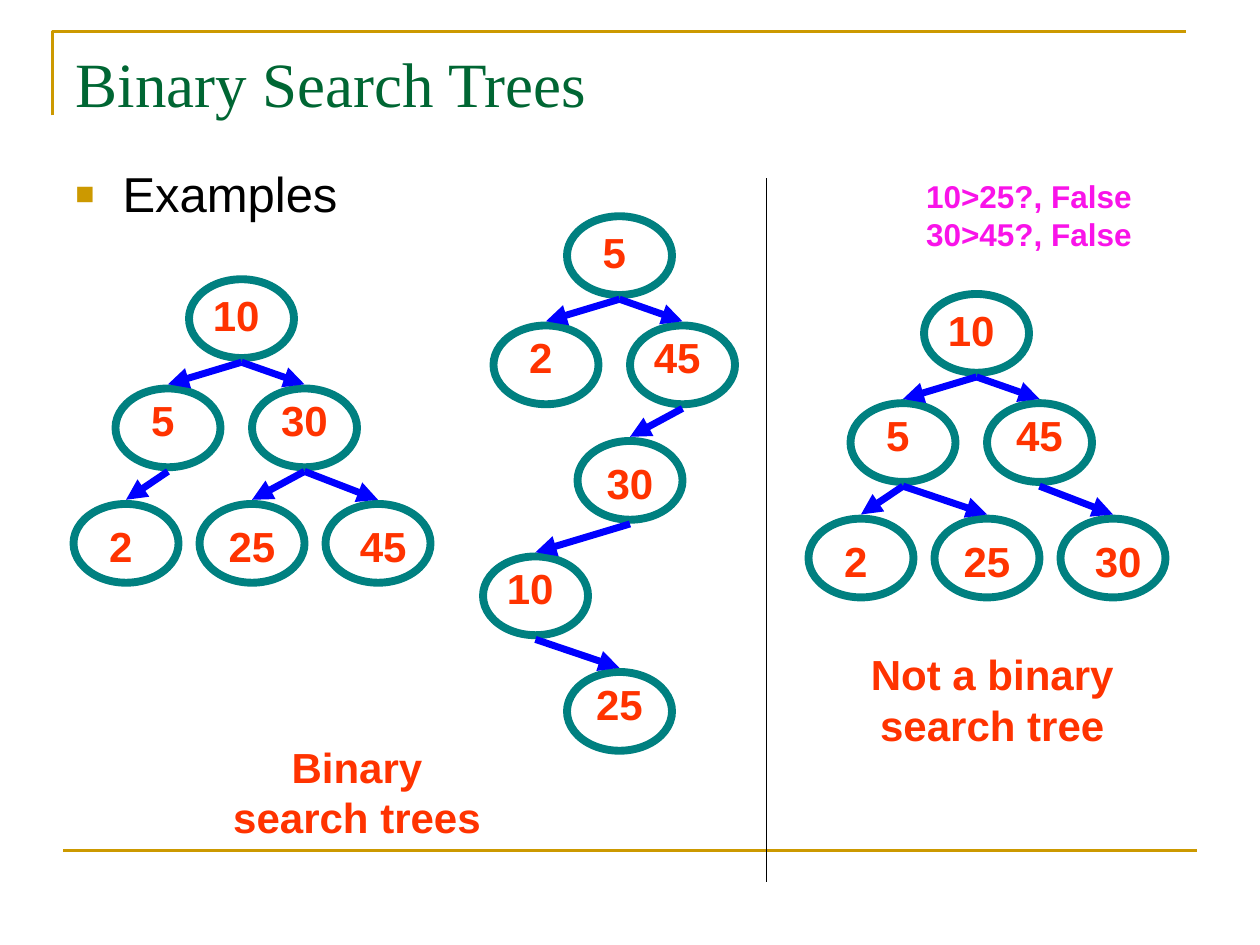
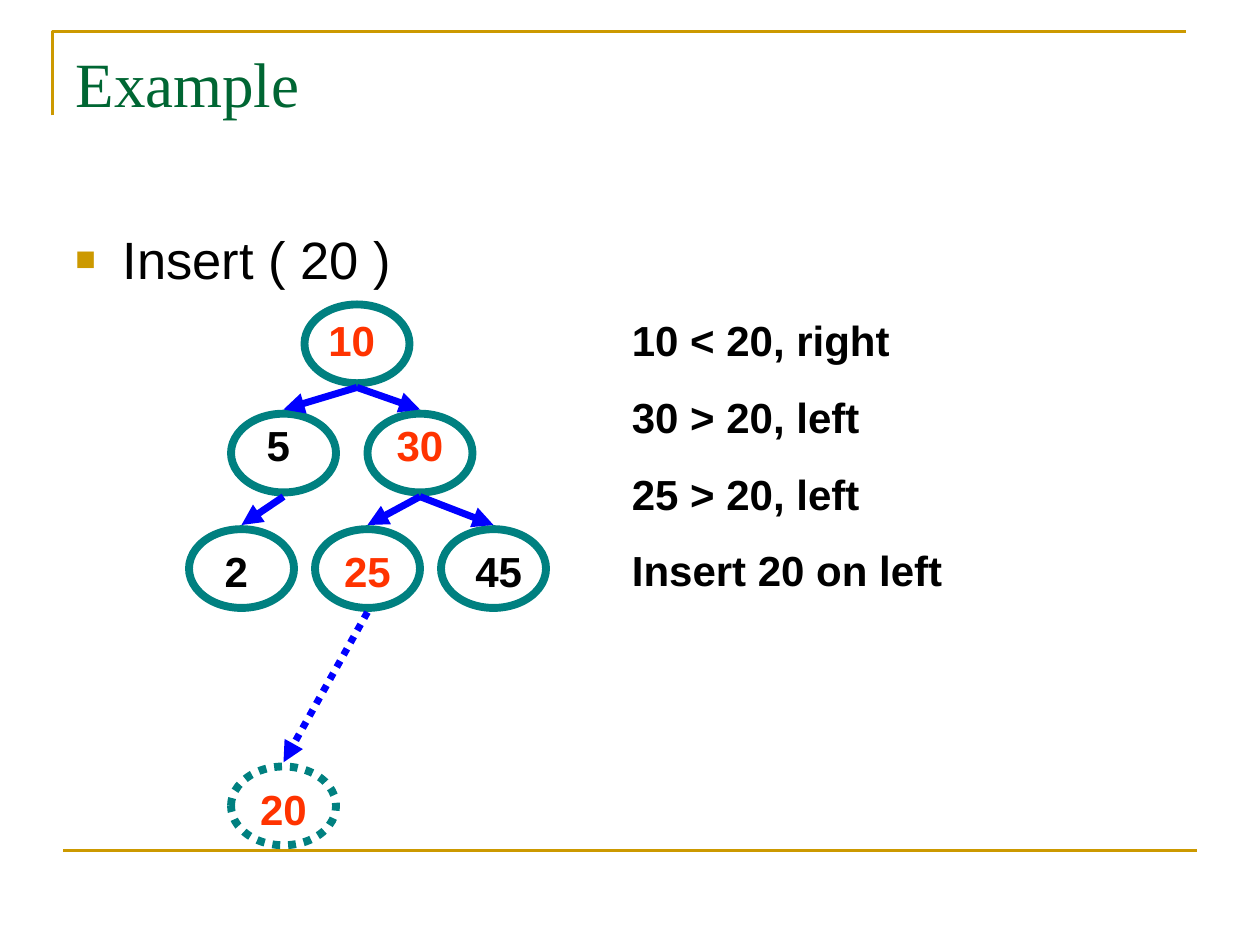
import pptx
import pptx.dml.color
import pptx.enum.dml
import pptx.enum.shapes
import pptx.enum.text
import pptx.oxml.ns
import pptx.util
from lxml import etree

RGB = pptx.dml.color.RGBColor
GOLD = RGB(0xCC, 0x99, 0x00)
GREEN = RGB(0x00, 0x66, 0x33)
TEAL = RGB(0x00, 0x80, 0x80)
BLUE = RGB(0x00, 0x00, 0xFF)
RED = RGB(0xFF, 0x33, 0x00)
MAGENTA = RGB(0xF9, 0x13, 0xE9)
BLACK = RGB(0x00, 0x00, 0x00)

PX = 7620  # EMU in one px, 120 px to the inch
NODE_W, NODE_H = 100, 75
LABEL_H = 60
ARROW_GAP = 4
CENTER = pptx.enum.text.PP_ALIGN.CENTER
LEFT = pptx.enum.text.PP_ALIGN.LEFT

# One node: left, top, label shift right, label shift down, label width.
FULL_SLOTS = [
    (180, 266, 10, 4, 70),
    (110, 370, 20, 0, 50),
    (240, 370, 10, 0, 80),
    (70, 480, 20, 10, 50),
    (190, 480, 10, 10, 80),
    (310, 480, 20, 10, 70),
]
CHAIN_SLOTS = [
    (540, 206, 20, 4, 50),
    (470, 310, 20, 0, 50),
    (600, 310, 10, 0, 70),
    (550, 420, 10, 10, 80),
    (460, 530, 10, 0, 70),
    (540, 640, 10, 0, 80),
]
INSERT_SLOT = (110, 706, 10, 10, 80)

SEARCH_KEYS = [10, 5, 30, 2, 25, 45]
SEARCH_EDGES = [(5, 2), (30, 25), (10, 30), (10, 5), (30, 45)]

EXAMPLES = {
    "title": "Binary Search Trees",
    "title_box": (60, 36, 520, 94),
    "bullet": ("Examples", 150, 28),
    "trees": [
        {"keys": SEARCH_KEYS, "slots": FULL_SLOTS, "edges": SEARCH_EDGES},
        {"keys": [10, 5, 45, 2, 25, 30], "slots": FULL_SLOTS, "shift": (700, 14),
         "edges": [(5, 2), (5, 25), (10, 45), (10, 5), (45, 30)]},
        {"keys": [5, 2, 45, 30, 10, 25], "slots": CHAIN_SLOTS,
         "edges": [(45, 30), (5, 45), (5, 2), (30, 10), (10, 25)]},
    ],
    "texts": [
        (["Binary search trees"], (200, 700, 280, 108), 24, RED, CENTER, 0),
        (["Not a binary search tree"], (790, 612, 310, 108), 24, RED, CENTER, 0),
        (["10>25?, False", "30>45?, False"], (830, 163, 300, 84), 18, MAGENTA, CENTER, 0),
    ],
    "divider": ((730, 170), (730, 840)),
}
INSERTION = {
    "title": "Example",
    "title_box": (60, 36, 300, 103),
    "bullet": ("Insert ( 20 )", 210, 30),
    "trees": [
        {"keys": SEARCH_KEYS + [20], "slots": FULL_SLOTS + [INSERT_SLOT],
         "shift": (110, 24), "edges": SEARCH_EDGES + [(25, 20)],
         "unvisited": {5, 2, 45}, "new_key": 20},
    ],
    "texts": [
        (["10 < 20, right", "30 > 20, left", "25 > 20, left", "Insert 20 on left"],
         (590, 294, 450, 280), 24, BLACK, LEFT, 15),
    ],
}


def emu(lengths):
    return [length * PX for length in lengths]


def format_text(frame, size, color, font="Arial", bold=False, align=LEFT, space=0):
    frame.word_wrap = True
    frame.vertical_anchor = pptx.enum.text.MSO_ANCHOR.TOP
    for paragraph in frame.paragraphs:
        paragraph.alignment = align
        paragraph.space_before = pptx.util.Pt(space)
        paragraph.line_spacing = pptx.util.Pt(size * 1.2)
        for run in paragraph.runs:
            run.font.name = font
            run.font.size = pptx.util.Pt(size)
            run.font.bold = bold
            run.font.color.rgb = color


def add_text(slide, lines, box, size, color, align, space):
    frame = slide.shapes.add_textbox(*emu(box)).text_frame
    frame.text = "\n".join(lines)
    frame.auto_size = pptx.enum.text.MSO_AUTO_SIZE.SHAPE_TO_FIT_TEXT
    format_text(frame, size, color, bold=True, align=align, space=space)


def add_bullet(slide, text, top, size):
    frame = slide.shapes.add_textbox(*emu((60, top, 1080, 594))).text_frame
    frame.text = text
    format_text(frame, size, BLACK, space=size / 4)
    properties = frame.paragraphs[0]._p.get_or_add_pPr()
    properties.set("marL", str(45 * PX))
    properties.set("indent", str(-45 * PX))
    qn = pptx.oxml.ns.qn
    bullet_color = etree.SubElement(properties, qn("a:buClr"))
    etree.SubElement(bullet_color, qn("a:srgbClr"), val=str(GOLD))
    etree.SubElement(properties, qn("a:buSzPct"), val="65000")
    etree.SubElement(properties, qn("a:buFont"), typeface="Arial")
    etree.SubElement(properties, qn("a:buChar"), char="■")


def style_line(line, color, width, dotted=False):
    line.color.rgb = color
    line.width = pptx.util.Pt(width)
    if dotted:
        line.dash_style = pptx.enum.dml.MSO_LINE.ROUND_DOT


def add_line(slide, start, end, color, width, arrow=False, dotted=False):
    connector = slide.shapes.add_connector(
        pptx.enum.shapes.MSO_CONNECTOR.STRAIGHT, *emu(start + end))
    style_line(connector.line, color, width, dotted)
    properties = connector.element.spPr
    qn = pptx.oxml.ns.qn
    if arrow:
        etree.SubElement(properties.find(qn("a:ln")), qn("a:tailEnd"), type="triangle")
    etree.SubElement(properties, qn("a:effectLst"))


def add_frame(slide):
    """Draw the gold corner and the footer rule that every slide has."""
    builder = slide.shapes.build_freeform(50, 110, scale=PX)
    builder.add_line_segments([(50, 30), (1130, 30)], close=False)
    corner = builder.convert_to_shape()
    corner.shadow.inherit = False
    corner.fill.background()
    style_line(corner.line, GOLD, 1.5)
    add_line(slide, (60, 810), (1140, 810), GOLD, 1.5)


def add_title(slide, text, box):
    title = slide.shapes.title
    title.left, title.top, title.width, title.height = emu(box)
    title.text_frame.text = text
    title.text_frame.auto_size = pptx.enum.text.MSO_AUTO_SIZE.NONE
    format_text(title.text_frame, 36, GREEN, font="Times New Roman")


def add_tree(slide, keys, slots, edges, shift=(0, 0), unvisited=(), new_key=None):
    corners = {}
    for key, (x, y, *_) in zip(keys, slots):
        left, top = corners[key] = (x + shift[0], y + shift[1])
        node = slide.shapes.add_shape(pptx.enum.shapes.MSO_SHAPE.OVAL,
                                      *emu((left, top, NODE_W, NODE_H)))
        node.shadow.inherit = False
        node.fill.background()
        style_line(node.line, TEAL, 4.5, dotted=key == new_key)

    for parent, child in edges:
        (parent_x, parent_y), (child_x, child_y) = corners[parent], corners[child]
        add_line(slide,
                 (parent_x + NODE_W // 2, parent_y + NODE_H + ARROW_GAP),
                 (child_x + NODE_W // 2, child_y - ARROW_GAP),
                 BLUE, 4, arrow=True, dotted=child == new_key)

    for key, (_, _, right, down, width) in zip(keys, slots):
        left, top = corners[key]
        add_text(slide, [str(key)], (left + right, top + down, width, LABEL_H),
                 24, BLACK if key in unvisited else RED, CENTER, 0)


def add_slide(deck, content):
    slide = deck.slides.add_slide(deck.slide_layouts.get_by_name("Title Only"))
    add_frame(slide)
    add_title(slide, content["title"], content["title_box"])
    add_bullet(slide, *content["bullet"])
    for tree in content["trees"]:
        add_tree(slide, **tree)
    for text in content["texts"]:
        add_text(slide, *text)
    if "divider" in content:
        add_line(slide, *content["divider"], BLACK, 1)


def main():
    deck = pptx.Presentation()
    deck.slide_width, deck.slide_height = emu((1200, 900))
    for content in (EXAMPLES, INSERTION):
        add_slide(deck, content)
    deck.save("out.pptx")


if __name__ == "__main__":
    main()
